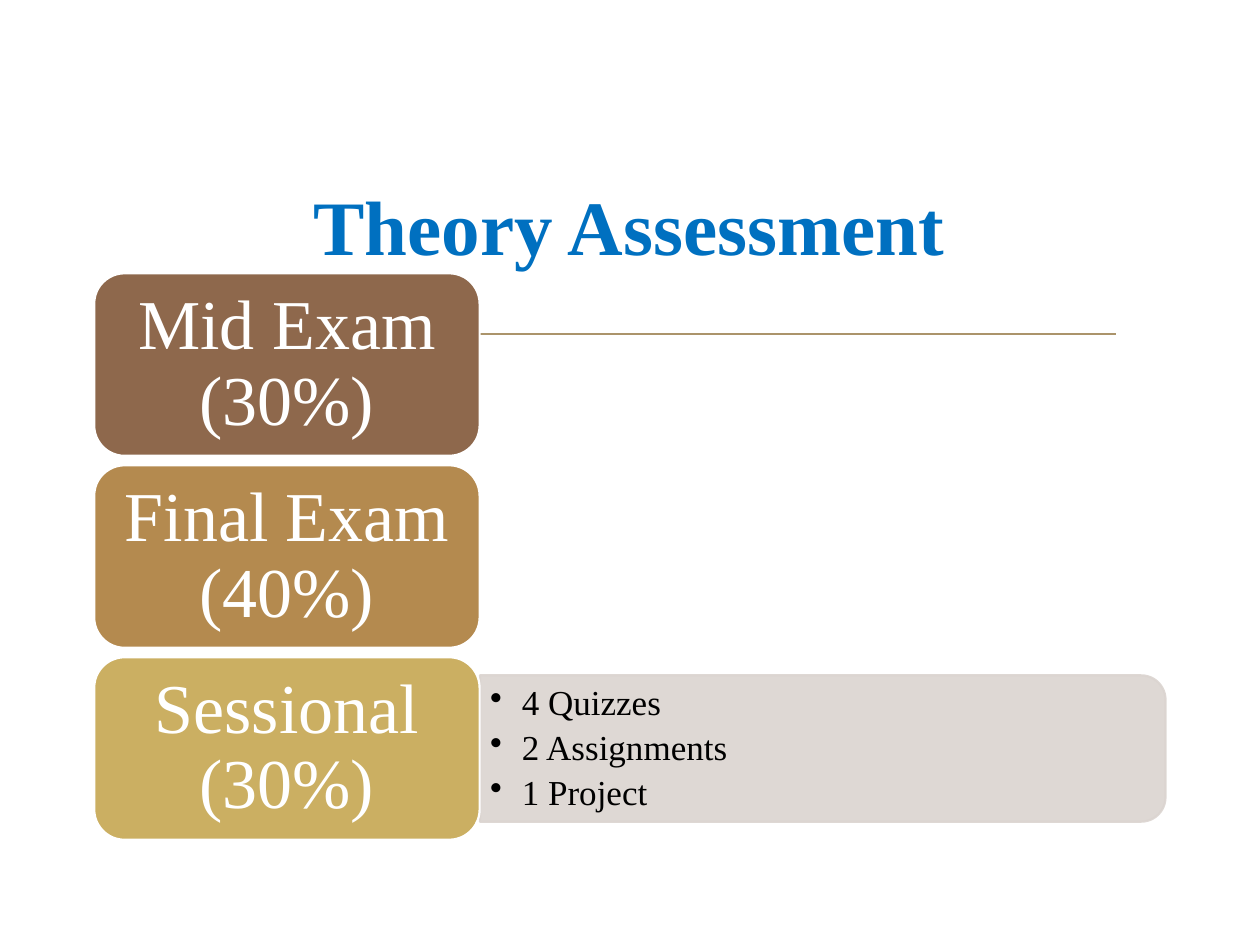
from lxml import etree
from pptx import Presentation
from pptx.dml.color import RGBColor
from pptx.enum.shapes import MSO_CONNECTOR, MSO_SHAPE
from pptx.enum.text import MSO_ANCHOR, PP_ALIGN
from pptx.oxml.ns import qn
from pptx.util import Cm, Pt

MIDDLE = MSO_ANCHOR.MIDDLE
CENTER, LEFT = PP_ALIGN.CENTER, PP_ALIGN.LEFT
ROUNDED, TOP_ROUNDED = MSO_SHAPE.ROUNDED_RECTANGLE, MSO_SHAPE.ROUND_2_SAME_RECTANGLE
STRAIGHT = MSO_CONNECTOR.STRAIGHT
rgb = RGBColor.from_string


def write(frame, lines, color, margins, align, font_format, paragraph_format):
    """Fill a text frame with one paragraph per line; margins are (side, top/bottom)."""
    side, edge = margins
    frame_format = dict(word_wrap=True, vertical_anchor=MIDDLE,
                        margin_left=side, margin_right=side,
                        margin_top=edge, margin_bottom=edge)
    for key, value in frame_format.items():
        setattr(frame, key, value)
    for index, line in enumerate(lines):
        paragraph = frame.paragraphs[0] if index == 0 else frame.add_paragraph()
        paragraph.alignment = align
        for key, value in paragraph_format.items():
            setattr(paragraph, key, value)
        run = paragraph.add_run()
        run.text = line
        run.font.name = "Times New Roman"
        run.font.color.rgb = rgb(color)
        for key, value in font_format.items():
            setattr(run.font, key, value)


def paint(shape, fill, line):
    shape.shadow.inherit = False
    shape.fill.solid()
    shape.fill.fore_color.rgb = rgb(fill)
    shape.line.color.rgb = rgb(line)
    shape.line.width = Pt(1.25)


prs = Presentation()
prs.slide_width, prs.slide_height = Cm(25.4), Cm(19.05)
slide = prs.slides.add_slide(prs.slide_layouts[6])
shapes = slide.shapes

# Rule and title
rule = shapes.add_connector(STRAIGHT, Cm(2.92), Cm(6.73), Cm(22.5), Cm(6.73))
rule.line.color.rgb = rgb("AB946B")
rule.line.width = Pt(1.25)
etree.SubElement(rule._element.spPr, qn("a:effectLst"))

title = shapes.add_textbox(Cm(2.69), Cm(2.72), Cm(19.99), Cm(3.63))
write(title.text_frame, ["Theory Assessment"], "0070C0", (Cm(0.25), Cm(0.13)),
      CENTER, dict(size=Pt(44), bold=True), {})

# Sessional details: a bar turned so that its rounded end faces right
details_bar = shapes.add_shape(TOP_ROUNDED, Cm(15.11), Cm(8.18), Cm(2.95), Cm(13.82))
details_bar.rotation = 90
paint(details_bar, "DBD4D0", "DBD4D0")
for color in details_bar._element.spPr.iter(qn("a:srgbClr")):
    etree.SubElement(color, qn("a:alpha"), val="90000")

details = shapes.add_textbox(Cm(9.68), Cm(13.77), Cm(13.67), Cm(2.67))
write(details.text_frame, ["4 Quizzes", "2 Assignments", "1 Project"], "000000",
      (Cm(0.2), Cm(0.1)), LEFT, dict(size=Pt(20)),
      dict(line_spacing=0.9, space_after=Pt(4)))
for paragraph in details.text_frame.paragraphs:
    properties = paragraph._p.get_or_add_pPr()
    properties.set("marL", str(Cm(0.64)))
    properties.set("indent", str(-Cm(0.64)))
    etree.SubElement(properties, qn("a:buChar"), char="•")

# Assessment parts, stacked at equal steps
parts = [
    ("Mid Exam (30%)", "8E684C"),
    ("Final Exam (40%)", "B48A4F"),
    ("Sessional (30%)", "CBAF62"),
]
for row, (label, fill) in enumerate(parts):
    part = shapes.add_shape(ROUNDED, Cm(1.9), Cm(5.51 + 3.87 * row), Cm(7.77), Cm(3.68))
    paint(part, fill, "FFFFFF")
    write(part.text_frame, [label], "FFFFFF", (Cm(0.4), Cm(0.2)), CENTER,
          dict(size=Pt(40)), dict(line_spacing=0.9))

prs.save("out.pptx")
